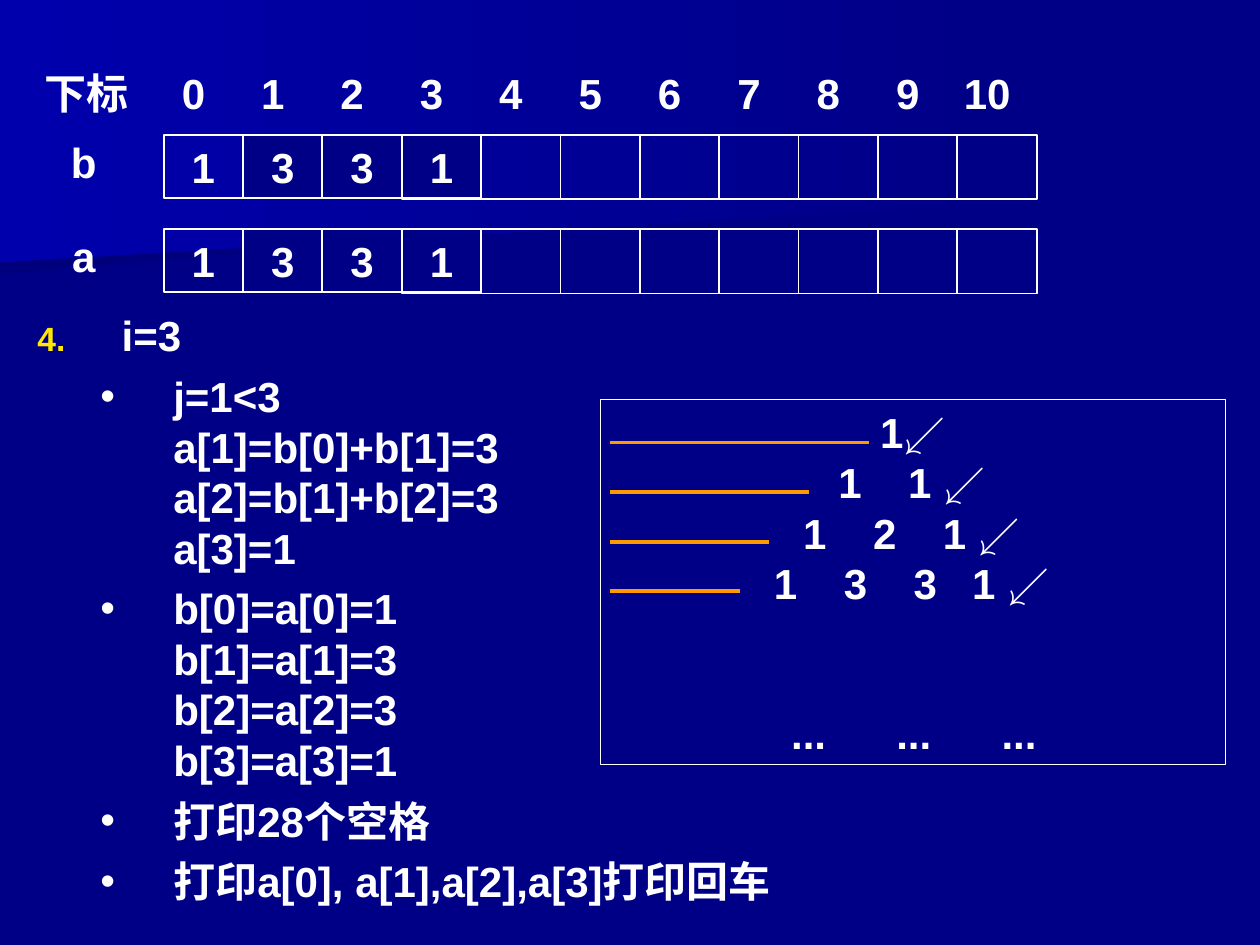
import lxml.etree
import pptx
import pptx.dml.color
import pptx.enum.shapes
import pptx.enum.text
import pptx.oxml
import pptx.oxml.ns
import pptx.util

Cm = pptx.util.Cm
Pt = pptx.util.Pt
ALIGN = pptx.enum.text.PP_ALIGN
ANCHOR = pptx.enum.text.MSO_ANCHOR
RECTANGLE = pptx.enum.shapes.MSO_SHAPE.RECTANGLE
NAVY, WHITE, YELLOW, ORANGE = "000086", "FFFFFF", "FFE701", "FF9900"
CELL = 1.6
CELL_HEIGHT = 1.27


def color(value):
    return pptx.dml.color.RGBColor.from_string(value)


def add_element(parent, tag, **attributes):
    element = lxml.etree.SubElement(parent, pptx.oxml.ns.qn(tag))
    for name, value in attributes.items():
        element.set(name, str(value))
    return element


def style_para(para, align=ALIGN.CENTER):
    para.alignment = align
    for span in para.runs:
        span.font.name = "Arial"
        span.font.size = Pt(24)
        span.font.bold = True
        span.font.color.rgb = color(WHITE)


def add_label(page, text, left, top, width=CELL):
    box = page.shapes.add_textbox(Cm(left), Cm(top), Cm(width), Cm(CELL_HEIGHT))
    box.text_frame.word_wrap = True
    box.text_frame.text = text
    style_para(box.text_frame.paragraphs[0])


def add_box(page, left, top, width, height, line_width=1, fill=None):
    box = page.shapes.add_shape(RECTANGLE, Cm(left), Cm(top), Cm(width), Cm(height))
    box.shadow.inherit = False
    box.line.color.rgb = color(WHITE)
    box.line.width = Pt(line_width)
    if fill:
        box.fill.solid()
        box.fill.fore_color.rgb = color(fill)
    else:
        box.fill.background()
    box.text_frame.word_wrap = True
    return box


def add_background(page):
    page.background.fill.solid()
    page.background.fill.fore_color.rgb = color(NAVY)
    bands = [
        ("00007D", [(0, 2.57), (19.79, 2.57), (19.76, 3.89), (0, 5.51)]),
        ("0000AC", [(0, 0), (20.12, 0), (20.12, 4.11), (0, 5.28)]),
    ]
    for far_color, points in bands:
        corners = [(Cm(x), Cm(y)) for x, y in points]
        builder = page.shapes.build_freeform(*corners[0])
        builder.add_line_segments(corners[1:], close=True)
        band = builder.convert_to_shape()
        band.shadow.inherit = False
        band.line.fill.background()
        band.fill.gradient()
        band.fill.gradient_angle = 180
        for stop, value in zip(band.fill.gradient_stops, (NAVY, far_color)):
            stop.color.rgb = color(value)


def add_index_row(page, left, top, count):
    add_label(page, "下标", left - 2.8, top, 2.9)
    for index in range(count):
        add_label(page, str(index), left + index * CELL, top)


def add_array(page, name, values, left, top, count):
    add_label(page, name, left - 2.41, top - 0.1)
    for index in range(len(values) - 1, count):
        add_box(page, left + index * CELL, top, CELL, 1.3)
    for index, value in enumerate(values):
        fill = NAVY if index else None
        cell = add_box(page, left + index * CELL, top, CELL, CELL_HEIGHT, fill=fill)
        cell.text_frame.vertical_anchor = ANCHOR.TOP
        cell.text_frame.text = str(value)
        style_para(cell.text_frame.paragraphs[0])


def add_steps(page, left, top, width, height):
    body = page.placeholders[1]
    body.left, body.top, body.width, body.height = map(Cm, (left, top, width, height))
    frame = body.text_frame
    frame.auto_size = pptx.enum.text.MSO_AUTO_SIZE.NONE
    steps = [
        "i=3",
        "j=1<3\va[1]=b[0]+b[1]=3\va[2]=b[1]+b[2]=3\va[3]=1",
        "b[0]=a[0]=1\vb[1]=a[1]=3\vb[2]=a[2]=3\vb[3]=a[3]=1",
        "打印28个空格",
        "打印a[0], a[1],a[2],a[3]打印回车",
    ]
    for number, text in enumerate(steps):
        para = frame.add_paragraph() if number else frame.paragraphs[0]
        para.text = text
        para.level = 1 if number else 0
        para.space_before = Pt(6 if number else 0)
        margin, hanging = (2.74, 1.47) if number else (1.7, 1.7)
        properties = para._p.get_or_add_pPr()
        properties.set("marL", str(Cm(margin)))
        properties.set("indent", str(-Cm(hanging)))
        bullet_color = add_element(properties, "a:buClr")
        add_element(bullet_color, "a:srgbClr", val=WHITE if number else YELLOW)
        add_element(properties, "a:buSzPct", val=100000 if number else 80000)
        add_element(properties, "a:buFont", typeface="Arial")
        if number:
            add_element(properties, "a:buChar", char="•")
        else:
            add_element(properties, "a:buAutoNum", type="arabicPeriod", startAt=4)
        style_para(para, ALIGN.LEFT)


def add_triangle(page, left, top, width, height):
    panel = add_box(page, left, top, width, height, 0.75)
    frame = panel.text_frame
    frame.vertical_anchor = ANCHOR.MIDDLE
    rows = [
        ("1↙", []),
        ("\t1\t1 ↙", [4.55, 5.96]),
        ("\t1\t2\t1 ↙", [3.84, 5.25, 6.66]),
        ("\t1\t3\t3\t1 ↙", [3.25, 4.66, 6.07, 7.25]),
        ("\t...\t...\t...", [3.6, 5.72, 7.84]),
    ]
    for number, (text, stops) in enumerate(rows):
        para = frame.add_paragraph() if number else frame.paragraphs[0]
        para.text = text
        if number == len(rows) - 1:
            para.space_before = Pt(57)
        if stops:
            tabs = add_element(para._p.get_or_add_pPr(), "a:tabLst")
            for stop in stops:
                add_element(tabs, "a:tab", pos=Cm(stop), algn="l")
        style_para(para, ALIGN.LEFT if stops else ALIGN.CENTER)
    for number, length in enumerate((5.21, 4.01, 3.2, 2.62)):
        start, level = left + 0.2, top + 0.87 + number
        rule = page.shapes.add_connector(
            pptx.enum.shapes.MSO_CONNECTOR.STRAIGHT,
            Cm(start), Cm(level), Cm(start + length), Cm(level))
        rule.line.color.rgb = color(ORANGE)
        rule.line.width = Pt(2.25)
        add_element(rule._element.spPr, "a:effectLst")


def main():
    deck = pptx.Presentation()
    deck.slide_width, deck.slide_height = Cm(25.4), Cm(19.05)
    page = deck.slides.add_slide(deck.slide_layouts[1])
    title = page.shapes.title._element
    title.getparent().remove(title)
    add_background(page)
    add_index_row(page, 3.1, 1.23, 11)
    for name, top in (("b", 2.72), ("a", 4.62)):
        add_array(page, name, [1, 3, 3, 1], 3.3, top, 11)
    add_steps(page, 0.5, 6.12, 22.8, 12.4)
    add_triangle(page, 12.1, 8.05, 12.6, 7.37)
    deck.save("out.pptx")


if __name__ == "__main__":
    main()
